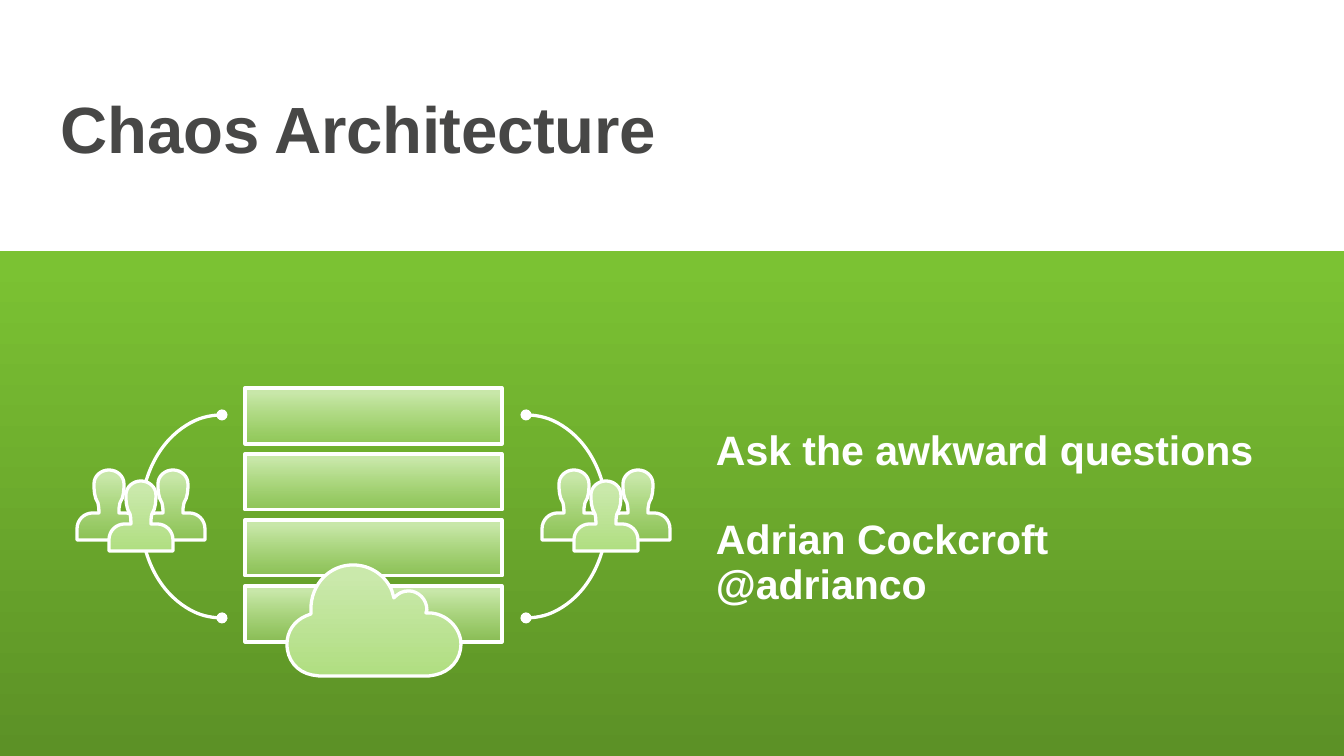
from dataclasses import dataclass

from lxml import etree
from pptx import Presentation
from pptx import util as u
from pptx.dml.color import RGBColor
from pptx.enum import shapes, text
from pptx.oxml.ns import qn

EMU_PER_PX = 914400 / 134.4


@dataclass(frozen=True)
class Theme:
    font: str = "Arial"
    title_size: int = 35
    body_size: int = 22
    outline_width: float = 1.75
    title: str = "474746"
    white: str = "FFFFFF"
    band: tuple = ((0.02, "7BC233"), (1, "5C9126"))
    icon: tuple = ((0.1, "CAE9AB"), (1, "B0DE81"))


THEME = Theme()

CLOUD = [
    (353, 565),
    (371, 565, 386, 576, 392, 591), (394, 598), (395, 597),
    (399, 593, 403, 591, 409, 591),
    (418, 591, 427, 599, 427, 610), (426, 613), (429, 613),
    (446, 613, 461, 628, 461, 644),
    (461, 660, 450, 672, 435, 675), (429, 676), (319, 676), (312, 675),
    (297, 672, 287, 660, 287, 644),
    (287, 632, 294, 621, 306, 616), (311, 614), (311, 609),
    (311, 585, 329, 565, 353, 565),
]

HALF_PERSON = [
    (0, 0),
    (8, 0, 15, 6, 15, 14),
    (15, 19, 15, 27, 11, 33),
    (10, 36, 10, 40, 10, 43), (16, 43),
    (25, 43, 32, 50, 32, 59), (32, 70),
]


def px(length):
    return u.Emu(round(length * EMU_PER_PX))


def reverse(path):
    ends = [segment[-2:] for segment in path]
    backward = [ends[-1]]
    for index in range(len(path) - 1, 0, -1):
        segment = path[index]
        controls = segment[2:4] + segment[:2] if len(segment) == 6 else ()
        backward.append(controls + ends[index - 1])
    return backward


def place(path, center, top, side):
    return [tuple(top + value if index % 2 else center + side * value
                  for index, value in enumerate(segment)) for segment in path]


def person(center, top):
    left = place(reverse(HALF_PERSON), center, top, -1)
    return left + place(HALF_PERSON, center, top, 1)[1:]


def fill_gradient(shape, stops, end_opacity=100):
    shape.fill.gradient()
    shape.fill.gradient_angle = 270
    for stop, (position, color) in zip(shape.fill.gradient_stops, stops):
        stop.position = position
        stop.color.rgb = RGBColor.from_string(color)
    if end_opacity < 100:
        end_color = shape._element.spPr.findall(".//" + qn("a:srgbClr"))[-1]
        etree.SubElement(end_color, qn("a:alpha")).set("val", str(end_opacity * 1000))


def outline(shape):
    shape.shadow.inherit = False
    shape.line.color.rgb = RGBColor.from_string(THEME.white)
    shape.line.width = u.Pt(THEME.outline_width)


def add_preset(slide, kind, left, top, width, height):
    shape = slide.shapes.add_shape(kind, px(left), px(top), px(width), px(height))
    shape.shadow.inherit = False
    return shape


def add_band(slide):
    band = add_preset(slide, shapes.MSO_SHAPE.RECTANGLE, 0, 251, 1344, 505)
    fill_gradient(band, THEME.band)
    band.line.fill.background()


def add_server(slide, top):
    server = add_preset(slide, shapes.MSO_SHAPE.RECTANGLE, 245, top, 257, 56)
    fill_gradient(server, THEME.icon, 50)
    outline(server)


def add_curved(slide, path, end_opacity=100):
    ends = [(px(segment[-2]), px(segment[-1])) for segment in path]
    builder = slide.shapes.build_freeform(*ends[0], scale=1.0)
    builder.add_line_segments(ends[1:], close=False)
    figure = builder.convert_to_shape()
    drawn = figure._element.spPr.find(".//" + qn("a:path"))
    for step, segment in zip(list(drawn)[1:], path[1:]):
        if len(segment) == 6:
            step.tag = qn("a:cubicBezTo")
            for index, x in enumerate((segment[0], segment[2])):
                control = etree.Element(qn("a:pt"))
                control.set("x", str(px(x) - figure.left))
                control.set("y", str(px(segment[2 * index + 1]) - figure.top))
                step.insert(index, control)
    etree.SubElement(drawn, qn("a:close"))
    fill_gradient(figure, THEME.icon, end_opacity)
    outline(figure)


def add_link(slide, left, mirrored):
    link = add_preset(slide, shapes.MSO_SHAPE.RIGHT_BRACKET, left, 415, 81, 203)
    link.adjustments[0] = 1.257
    link.fill.background()
    outline(link)
    if mirrored:
        link._element.spPr.find(qn("a:xfrm")).set("flipH", "1")
    for end in ("a:headEnd", "a:tailEnd"):
        etree.SubElement(link.line._ln, qn(end)).set("type", "oval")


def add_crowd(slide, center):
    back_pair = person(center - 32, 470)[:-1] + person(center + 32, 470)[2:]
    add_curved(slide, back_pair, 50)
    add_curved(slide, person(center, 481))


def add_text(slide, lines, box, size, color, spacing=None):
    frame = slide.shapes.add_textbox(*map(px, box)).text_frame
    frame.word_wrap = True
    frame.vertical_anchor = text.MSO_ANCHOR.TOP
    frame.margin_left = frame.margin_right = px(13)
    frame.margin_top = frame.margin_bottom = px(7)
    frame.text = "\n".join(lines)
    for paragraph in frame.paragraphs:
        paragraph.line_spacing = spacing
        paragraph.font.name = THEME.font
        paragraph.font.size = u.Pt(size)
        paragraph.font.bold = True
        paragraph.font.color.rgb = RGBColor.from_string(color)
    return frame.paragraphs


def main():
    deck = Presentation()
    deck.slide_width, deck.slide_height = px(1344), px(756)
    slide = deck.slides.add_slide(deck.slide_layouts[6])

    add_band(slide)
    title = add_text(slide, ["Chaos Architecture"], (48, 81, 1344, 90),
                     THEME.title_size, THEME.title)
    title[0].runs[0]._r.get_or_add_rPr().set("spc", "-20")
    message = add_text(slide, ["Ask the awkward questions", "Adrian Cockcroft", "@adrianco"],
                       (703, 423, 570, 194), THEME.body_size, THEME.white, 0.9)
    message[1].space_before = px(45)

    for row in range(4):
        add_server(slide, 388 + 66 * row)
    add_curved(slide, CLOUD)
    for link_left, crowd_center, mirrored in ((141, 141, True), (526, 606, False)):
        add_link(slide, link_left, mirrored)
        add_crowd(slide, crowd_center)

    deck.save("out.pptx")


if __name__ == "__main__":
    main()
